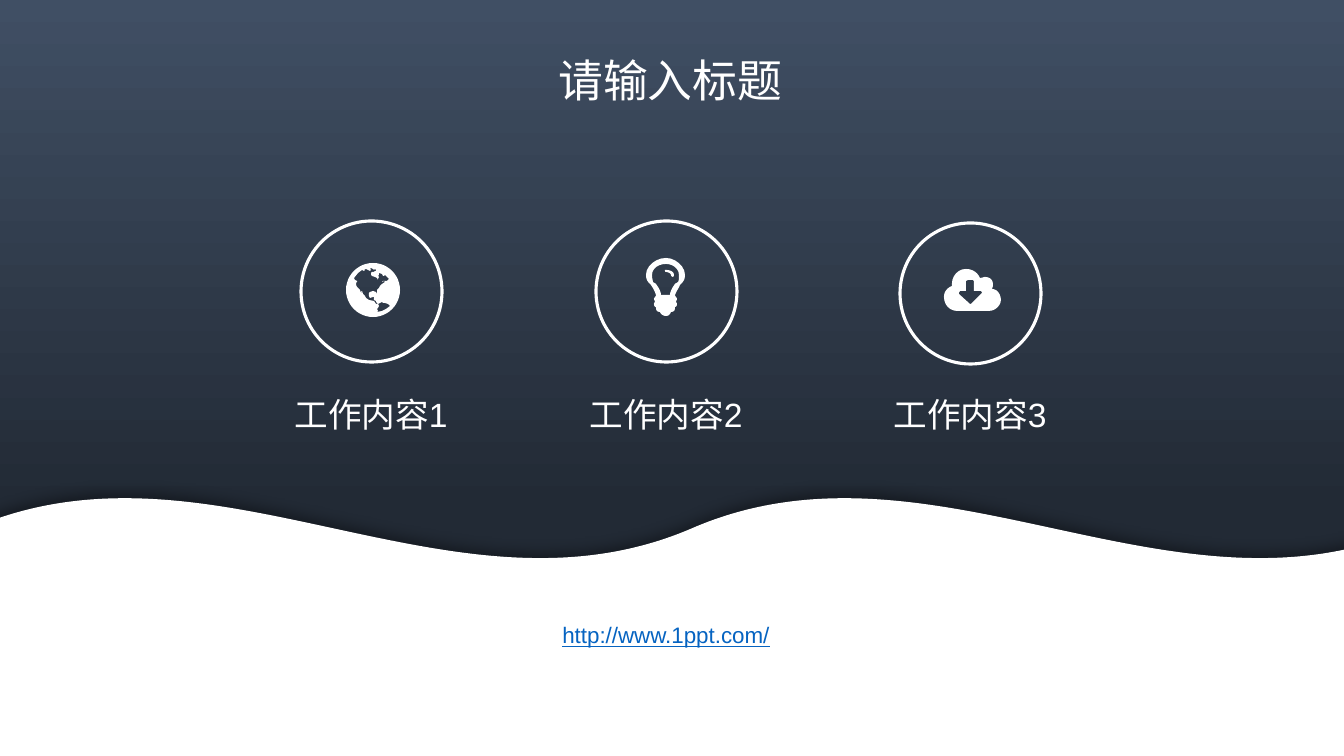
import math

import pptx
import pptx.dml.color
import pptx.enum.shapes
import pptx.enum.text
import pptx.oxml
import pptx.oxml.ns
import pptx.util

PX = 914400 / 100.8  # EMU per px
SLIDE_W, SLIDE_H = 1344, 756
FONT = "Arial"
COLORS = {
    "white": "FFFFFF",
    "sky_top": "404F64",
    "sky_bottom": "222A35",
    "address": "0563C1",
}
CIRCLE = 141
LABEL_W = 226
SHAPES = pptx.enum.shapes.MSO_SHAPE


def px(n):
    return pptx.util.Emu(round(n * PX))


def rgb(name):
    return pptx.dml.color.RGBColor.from_string(COLORS[name])


def curve(points, steps=6):
    """Flatten a chain of cubic curves: a start, then three points per curve."""
    flat = [points[0]]
    for i in range(0, len(points) - 1, 3):
        a, b, c, d = points[i:i + 4]
        for k in range(1, steps + 1):
            t = k / steps
            u = 1 - t
            flat.append(tuple(
                u**3 * a[j] + 3 * u * u * t * b[j] + 3 * u * t * t * c[j] + t**3 * d[j]
                for j in (0, 1)))
    return flat


def disc(center, radius, count=48):
    angles = (2 * math.pi * i / count for i in range(count))
    return [(center + radius * math.cos(a), center + radius * math.sin(a)) for a in angles]


# Icon outlines, in px from the top left of each icon
GLOBE = [
    disc(27, 27),
    # North America
    [(36, 19), (37, 18), (41, 18), (43, 16), (42, 15), (40, 13), (39, 12), (38, 13),
     (37, 13), (36, 11), (33, 10), (33, 12), (32, 13), (33, 14), (32, 16), (32, 17),
     (31, 15), (29, 14), (26, 13), (25, 12), (25, 10), (26, 9), (28, 9), (29, 8),
     (30, 8), (30, 7), (29, 6), (28, 7), (27, 6), (25, 5), (24, 6), (25, 7), (24, 8),
     (22, 7), (20, 6), (17, 7), (19, 7), (18, 8), (16, 7), (12, 10), (8, 15), (9, 17),
     (11, 18), (11, 19), (10, 20), (10, 22), (11, 24), (14, 27), (15, 30), (17, 32),
     (15, 29), (16, 28), (17, 31), (19, 33), (20, 35), (23, 37), (28, 38), (30, 41),
     (32, 41), (30, 39), (30, 38), (28, 37), (28, 34), (27, 34), (24, 35), (23, 33),
     (23, 30), (24, 29), (27, 28), (30, 29), (31, 31), (31, 27), (33, 25), (34, 23),
     (36, 21), (39, 19), (38, 18)],
    # South America
    [(44, 43), (42, 41), (39, 40), (37, 40), (36, 39), (34, 40), (32, 41), (33, 43),
     (32, 45), (31, 46), (32, 48), (31, 49), (36, 48), (40, 46)],
]
BULB = [
    curve([(34, 27), (33, 30), (29, 35), (29, 38), (30, 39), (31, 40), (31, 41),
           (31, 42), (30, 43), (30, 44), (30, 44), (31, 45), (31, 46),
           (31, 48), (30, 49), (29, 49), (29, 49), (29, 50), (29, 50),
           (29, 53), (27, 54), (25, 54), (24, 57), (22, 58), (20, 58),
           (18, 58), (15, 57), (14, 54), (12, 54), (10, 53), (10, 50),
           (10, 50), (10, 49), (10, 49), (9, 49), (8, 48), (8, 46),
           (8, 45), (9, 44), (9, 44), (9, 43), (8, 42), (8, 41),
           (8, 40), (9, 39), (10, 38), (10, 35), (7, 30), (5, 27),
           (2, 24), (0, 22), (0, 17), (0, 8), (10, 0), (20, 0),
           (29, 0), (39, 8), (39, 17), (39, 22), (37, 24), (34, 27)]),
    curve([(20, 6), (13, 6), (6, 10), (6, 17), (6, 20), (7, 23), (7, 24),
           (8, 25), (9, 25), (10, 26), (13, 30), (15, 34), (15, 37),
           (18, 37), (21, 37), (24, 37), (24, 34), (26, 30), (29, 26),
           (30, 25), (31, 25), (32, 24), (33, 23), (33, 20), (33, 17),
           (33, 10), (26, 6), (20, 6)]),
    curve([(27, 19), (26, 19), (25, 18), (25, 17), (25, 15), (21, 14), (20, 14),
           (19, 14), (19, 13), (19, 12), (19, 12), (19, 12), (20, 12),
           (23, 12), (28, 13), (28, 17), (28, 18), (27, 19), (27, 19)]),
]
CLOUD = [
    curve([(45, 42), (34, 42), (24, 42), (13, 42), (6, 42), (0, 36), (0, 28),
           (0, 23), (3, 19), (8, 17), (8, 16), (8, 16), (8, 15),
           (8, 7), (14, 0), (22, 0), (29, 0), (34, 4), (36, 9),
           (38, 9), (40, 8), (41, 8), (46, 8), (49, 11), (49, 15),
           (49, 17), (49, 18), (48, 20), (53, 20), (57, 25), (57, 31),
           (57, 36), (52, 42), (45, 42)]),
    # Arrow
    [(37, 22), (30, 22), (30, 12), (29, 11), (24, 11), (22, 12), (22, 22), (16, 22),
     (15, 24), (15, 25), (26, 35), (27, 35), (37, 25), (38, 24), (38, 23)],
]


def add_shape(slide, kind, x, y, w, h):
    sp = slide.shapes.add_shape(kind, px(x), px(y), px(w), px(h))
    sp.shadow.inherit = False
    sp.line.fill.background()
    return sp


def add_sky(slide):
    sp = add_shape(slide, SHAPES.RECTANGLE, 0, 0, SLIDE_W, 643)
    sp.fill.gradient()
    sp.fill.gradient_angle = 270
    stops = (("sky_top", 0), ("sky_bottom", 0.79))
    for stop, (color, position) in zip(sp.fill.gradient_stops, stops):
        stop.color.rgb = rgb(color)
        stop.position = position


def add_wave(slide):
    sp = add_shape(slide, SHAPES.DOUBLE_WAVE, -33, 497, 1445, 415)
    sp.adjustments[0], sp.adjustments[1] = 0.075, -0.002
    sp.fill.solid()
    sp.fill.fore_color.rgb = rgb("white")
    # Soft shadow cast upwards
    effects = sp._element.spPr.find(pptx.oxml.ns.qn("a:effectLst"))
    effects.append(pptx.oxml.parse_xml(
        f'<a:outerShdw {pptx.oxml.ns.nsdecls("a")} blurRad="127000" dist="38100" '
        'dir="16200000" algn="b" rotWithShape="0"><a:srgbClr val="000000">'
        '<a:alpha val="38000"/></a:srgbClr></a:outerShdw>'))


def add_ring(slide, center, y):
    sp = add_shape(slide, SHAPES.OVAL, center - CIRCLE // 2, y, CIRCLE, CIRCLE)
    sp.fill.background()
    sp.line.color.rgb = rgb("white")
    sp.line.width = pptx.util.Pt(2.25)


def add_icon(slide, contours, x, y):
    paths = [[(px(a), px(b)) for a, b in contour] for contour in contours]
    builder = slide.shapes.build_freeform(*paths[0][0])
    builder.add_line_segments(paths[0][1:], close=True)
    for points in paths[1:]:
        builder.move_to(*points[0])
        builder.add_line_segments(points[1:], close=True)
    sp = builder.convert_to_shape(px(x), px(y))
    sp.shadow.inherit = False
    sp.fill.solid()
    sp.fill.fore_color.rgb = rgb("white")
    sp.line.fill.background()


def add_text(slide, text, x, y, w, h, size, color="white", wrap=True):
    tf = slide.shapes.add_textbox(px(x), px(y), px(w), px(h)).text_frame
    tf.word_wrap = wrap
    tf.auto_size = pptx.enum.text.MSO_AUTO_SIZE.SHAPE_TO_FIT_TEXT
    p = tf.paragraphs[0]
    p.text = text
    p.alignment = pptx.enum.text.PP_ALIGN.CENTER
    p.font.name = FONT
    p.font.size = pptx.util.Pt(size)
    p.font.color.rgb = rgb(color)
    return p


def main():
    prs = pptx.Presentation()
    prs.slide_width, prs.slide_height = px(SLIDE_W), px(SLIDE_H)
    slide = prs.slides.add_slide(prs.slide_layouts[6])

    # Backdrop and title
    add_sky(slide)
    add_text(slide, "请输入标题", 547, 48, 247, 65, 32, wrap=False)
    add_wave(slide)

    # Work items: column centre, ring top, icon and its place
    items = [
        (371, 221, GLOBE, 346, 263),
        (666, 221, BULB, 646, 258),
        (970, 223, CLOUD, 944, 269),
    ]
    for number, (center, top, icon, x, y) in enumerate(items, 1):
        add_ring(slide, center, top)
        add_icon(slide, icon, x, y)
        add_text(slide, f"工作内容{number}", center - LABEL_W // 2, 389, LABEL_W, 51, 24)

    # Web address
    p = add_text(slide, "http://www.1ppt.com/", 249, 603, 834, 45, 16, "address")
    p.line_spacing = 1.5
    p.font.underline = True

    prs.save("out.pptx")


if __name__ == "__main__":
    main()
